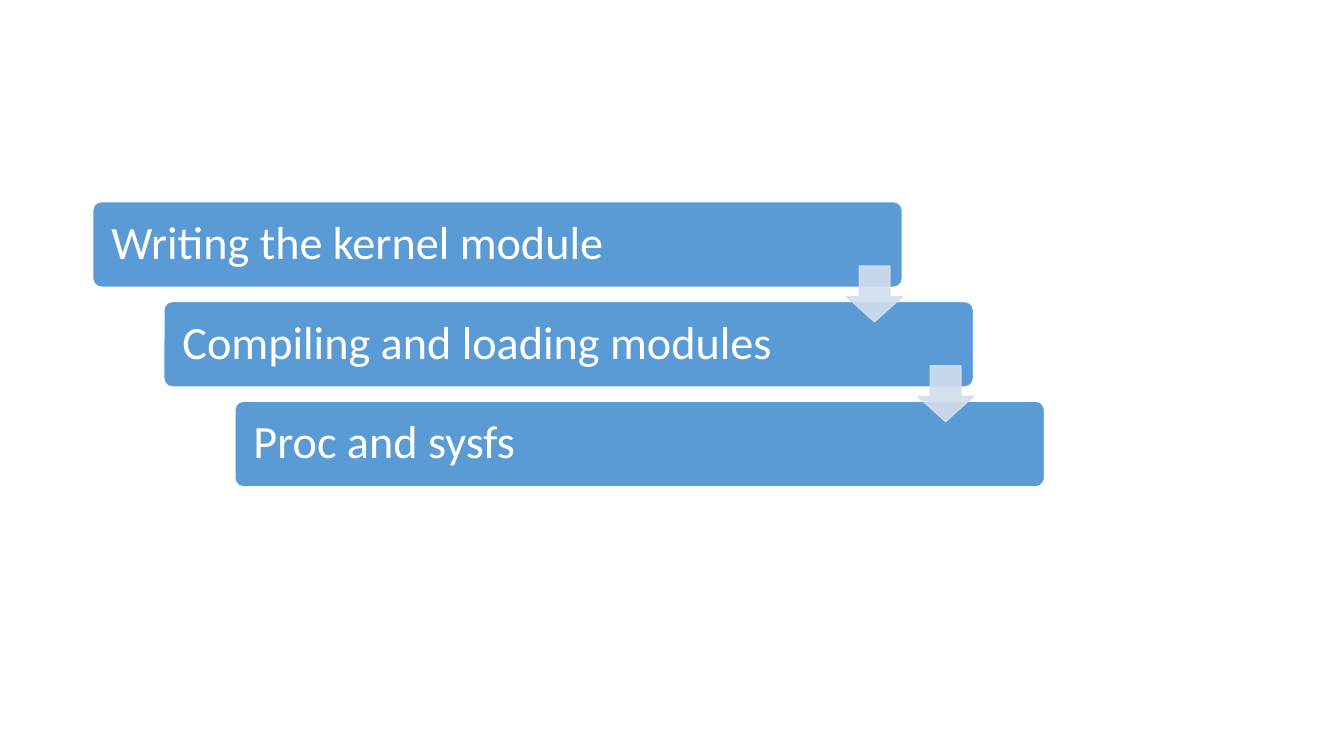
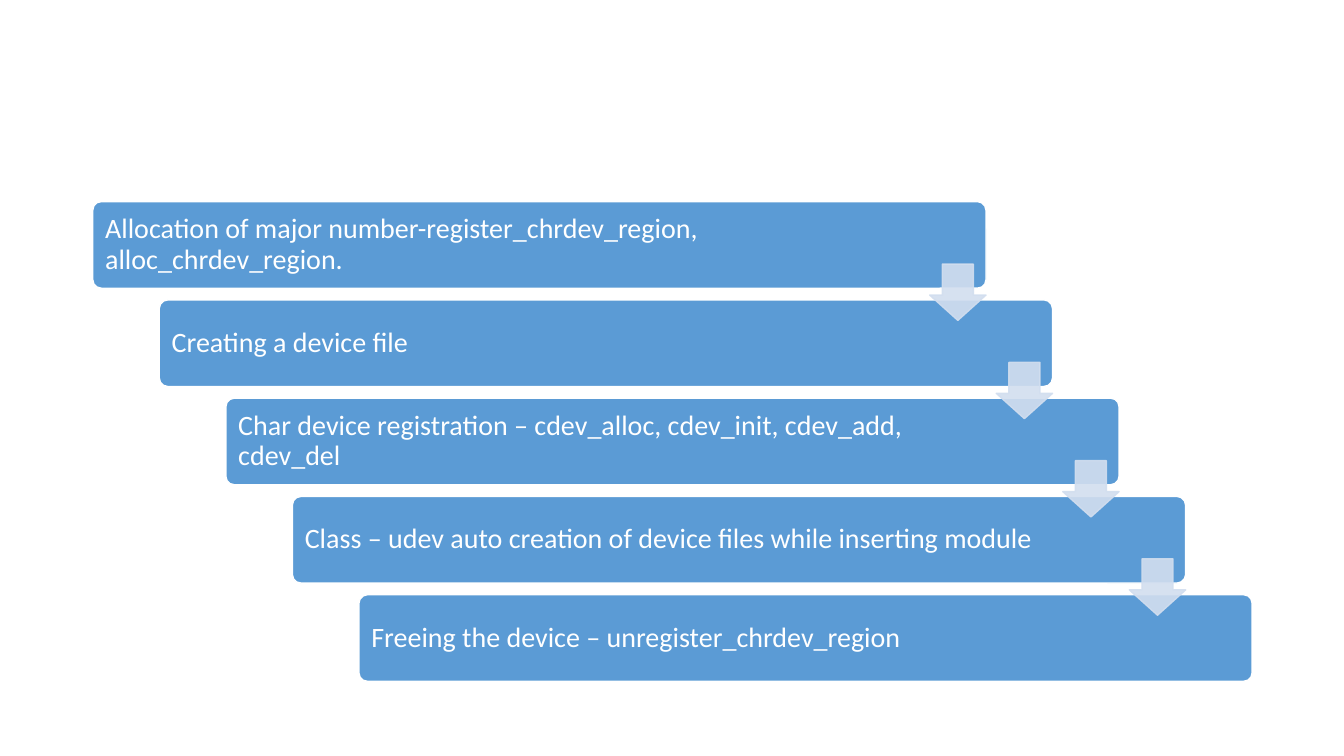
import lxml.etree
import pptx
import pptx.dml.color
import pptx.enum.shapes
import pptx.enum.text
import pptx.oxml.ns
import pptx.util

Inches = pptx.util.Inches
Shapes = pptx.enum.shapes.MSO_SHAPE
BLANK_LAYOUT = 6


def color(hex_string):
    return pptx.dml.color.RGBColor.from_string(hex_string)


def paint(fill, hex_string, opacity=100):
    """Make the fill solid; opacity is a percentage."""
    fill.solid()
    fill.fore_color.rgb = color(hex_string)
    if opacity < 100:
        qualified = pptx.oxml.ns.qn
        for value in fill._xPr.iter(qualified("a:srgbClr")):
            lxml.etree.SubElement(value, qualified("a:alpha"), val=str(opacity * 1000))


def write(shape, text, size, font, font_color, left_inset, right_inset):
    frame = shape.text_frame
    frame.word_wrap = True
    frame.vertical_anchor = pptx.enum.text.MSO_ANCHOR.MIDDLE
    frame.margin_left = Inches(left_inset)
    frame.margin_right = Inches(right_inset)
    para = frame.paragraphs[0]
    para.alignment = pptx.enum.text.PP_ALIGN.LEFT
    para.line_spacing = 0.9
    span = para.add_run()
    span.text = text
    span.font.size = pptx.util.Pt(size)
    span.font.name = font
    span.font.color.rgb = color(font_color)


class StaircaseDeck:
    FONT = "Calibri"
    STEP_FILL = "5B9BD5"
    ARROW_FILL = "D2DEEF"
    WHITE = "FFFFFF"
    LEFT = 0.92
    TOP = 2
    RIGHT_INSET = 1.33  # keeps step text clear of the arrows
    ARROW_SCALE = 0.65  # arrow side relative to step height

    def __init__(self):
        self.deck = pptx.Presentation()
        self.deck.slide_width = Inches(13.33)
        self.deck.slide_height = Inches(7.5)
        self.page = None

    def add_page(self):
        self.page = self.deck.slides.add_slide(self.deck.slide_layouts[BLANK_LAYOUT])

    def add_shape(self, kind, left, top, width, height, adjustments,
                  fill, line, opacity=100):
        shape = self.page.shapes.add_shape(
            kind, Inches(left), Inches(top), Inches(width), Inches(height))
        for index, value in enumerate(adjustments):
            shape.adjustments[index] = value
        shape.shadow.inherit = False
        paint(shape.fill, fill, opacity)
        shape.line.width = pptx.util.Pt(1)
        paint(shape.line.fill, line, opacity)
        return shape

    def add_step(self, text, left, top, width, height, size, inset):
        box = self.add_shape(Shapes.ROUNDED_RECTANGLE, left, top, width, height,
                             [0.1], self.STEP_FILL, self.WHITE)
        write(box, text, size=size, font=self.FONT, font_color=self.WHITE,
              left_inset=inset, right_inset=self.RIGHT_INSET)

    def add_arrow(self, right, top, side):
        self.add_shape(Shapes.DOWN_ARROW, right - side, top, side, side,
                       [0.55, 0.45], self.ARROW_FILL, self.ARROW_FILL, opacity=90)

    def add_staircase(self, steps, right, bottom, width, height, size, inset, arrow_drop):
        """Spread the steps evenly from the top left corner to right and bottom.

        arrow_drop is the distance from the top of a step to its arrow.
        """
        gaps = len(steps) - 1
        shift = (right - self.LEFT - width) / gaps
        pitch = (bottom - self.TOP - height) / gaps
        for index, text in enumerate(steps):
            self.add_step(text, self.LEFT + index * shift, self.TOP + index * pitch,
                          width, height, size, inset)
        for index in range(gaps):
            self.add_arrow(self.LEFT + index * shift + width,
                           self.TOP + index * pitch + arrow_drop,
                           height * self.ARROW_SCALE)


def main():
    staircases = StaircaseDeck()

    staircases.add_page()
    staircases.add_staircase(
        ["Writing the kernel module", "Compiling and loading modules", "Proc and sysfs"],
        right=10.36, bottom=4.83, width=8.03, height=0.85,
        size=33, inset=0.16, arrow_drop=0.64)

    staircases.add_page()
    staircases.add_staircase(
        ["Allocation of major number-register_chrdev_region, alloc_chrdev_region.",
         "Creating a device file",
         "Char device registration – cdev_alloc, cdev_init, cdev_add, cdev_del",
         "Class – udev auto creation of device files while inserting module",
         "Freeing the device – unregister_chrdev_region"],
        right=12.42, bottom=6.76, width=8.86, height=0.86,
        size=20, inset=0.1, arrow_drop=0.62)

    staircases.deck.save("out.pptx")


if __name__ == "__main__":
    main()
